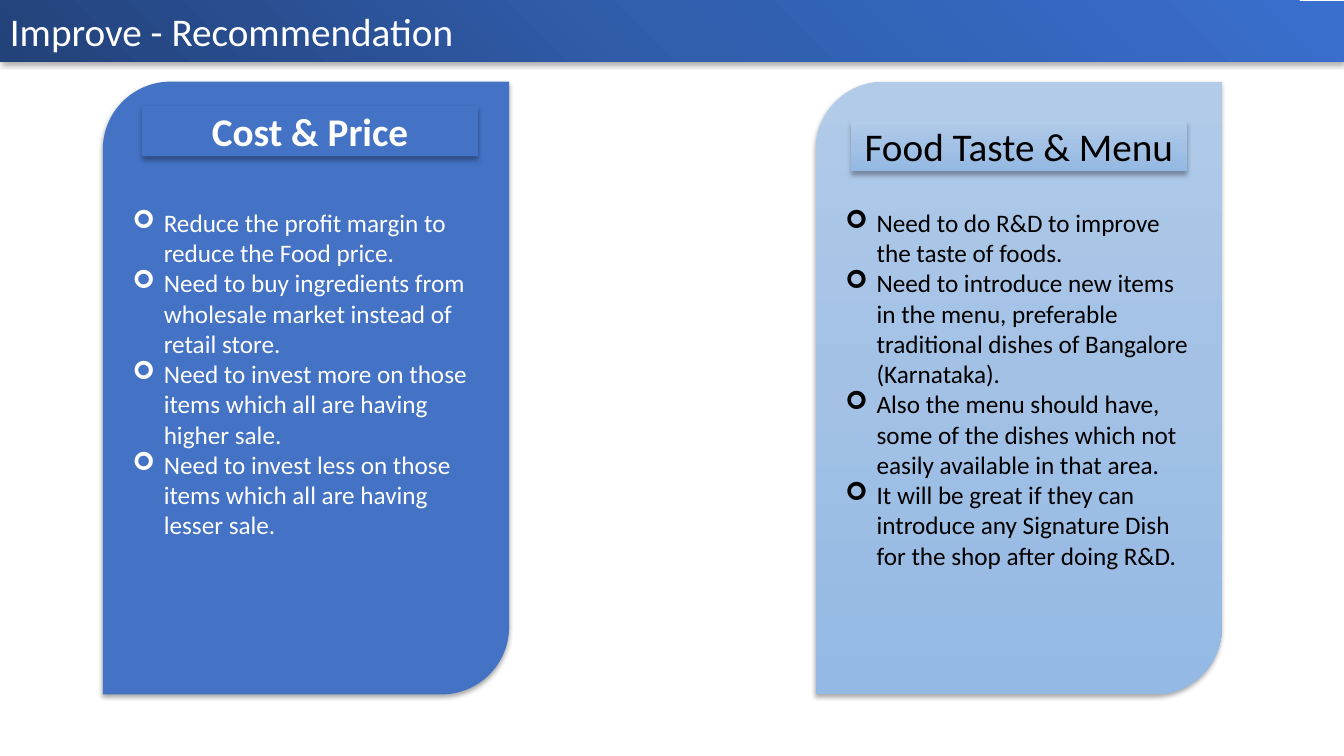
"""Build the Improve - Recommendation slide with two recommendation cards."""
from lxml import etree
from pptx import Presentation
from pptx.dml.color import RGBColor
from pptx.enum.shapes import MSO_SHAPE
from pptx.enum.text import MSO_ANCHOR, PP_ALIGN
from pptx.oxml import parse_xml
from pptx.oxml.ns import qn
from pptx.util import Inches, Pt

RECTANGLE, CARD = MSO_SHAPE.RECTANGLE, MSO_SHAPE.ROUND_2_DIAG_RECTANGLE
TOP, MIDDLE = MSO_ANCHOR.TOP, MSO_ANCHOR.MIDDLE
LEFT, CENTER = PP_ALIGN.LEFT, PP_ALIGN.CENTER
NAMESPACE = "http://schemas.openxmlformats.org/drawingml/2006/main"

WHITE = RGBColor(0xFF, 0xFF, 0xFF)
BLACK = RGBColor(0, 0, 0)
BLUE = RGBColor(0x44, 0x72, 0xC4)
BANNER_BLUES = [RGBColor(0x23, 0x42, 0x7A), RGBColor(0x31, 0x5E, 0xAD), RGBColor(0x3A, 0x6F, 0xCE)]
PALE_BLUES = [RGBColor(0xB1, 0xCB, 0xE9), RGBColor(0xA3, 0xC1, 0xE5), RGBColor(0x93, 0xB9, 0xE4)]
FROM_CORNER = '<a:path path="circle"><a:fillToRect t="100000" r="100000"/></a:path>'
DOWNWARD = '<a:lin ang="5400000" scaled="0"/>'

TITLE = "Improve - Recommendation"
CARDS = [
    {"heading": "Cost & Price", "bold": True, "fill": [BLUE], "color": WHITE,
     "left": 1.02, "heading_left": 1.41, "heading_top": 1.05,
     "points": [
         "Reduce the profit margin to reduce the Food price.",
         "Need to buy ingredients from wholesale market instead of retail store.",
         "Need to invest more on those items which all are having higher sale.",
         "Need to invest less on those items which all are having lesser sale."]},
    {"heading": "Food Taste & Menu", "bold": False, "fill": PALE_BLUES, "color": BLACK,
     "left": 8.09, "heading_left": 8.44, "heading_top": 1.2,
     "points": [
         "Need to do R&D to improve the taste of foods.",
         "Need to introduce new items in the menu, preferable traditional dishes of "
         "Bangalore (Karnataka).",
         "Also the menu should have, some of the dishes which not easily available in that area.",
         "It will be great if they can introduce any Signature Dish for the shop after doing R&D."]},
]
CARD_TOP, CARD_WIDTH, CARD_HEIGHT = 0.81, 4.03, 6.08
HEADING_WIDTH, HEADING_HEIGHT = 3.33, 0.5
POINTS_INSET, BULLET_INDENT = 1.05, 0.31


def paint(shape, colors, direction):
    """Fill with one colour or an even gradient, and add a soft shadow."""
    shape.line.fill.background()
    properties = shape._element.spPr
    if len(colors) == 1:
        shape.fill.solid()
        shape.fill.fore_color.rgb = colors[0]
    else:
        step = 100000 // (len(colors) - 1)
        stops = "".join(f'<a:gs pos="{index * step}"><a:srgbClr val="{color}"/></a:gs>'
                        for index, color in enumerate(colors))
        properties.insert(2, parse_xml(
            f'<a:gradFill xmlns:a="{NAMESPACE}" rotWithShape="1">'
            f'<a:gsLst>{stops}</a:gsLst>{direction}</a:gradFill>'))
    shape.shadow.inherit = False
    properties.find(qn("a:effectLst")).append(parse_xml(
        f'<a:outerShdw xmlns:a="{NAMESPACE}" blurRad="{Pt(3.5)}" dist="{Pt(2.2)}" dir="5400000" '
        'rotWithShape="0"><a:srgbClr val="000000"><a:alpha val="32000"/></a:srgbClr></a:outerShdw>'))


def add_bullet(paragraph):
    """Give a paragraph an arrowhead bullet and a hanging indent."""
    properties = paragraph._p.get_or_add_pPr()
    properties.set("marL", str(Inches(BULLET_INDENT)))
    properties.set("indent", str(-Inches(BULLET_INDENT)))
    etree.SubElement(properties, qn("a:buFont")).set("typeface", "Wingdings")
    etree.SubElement(properties, qn("a:buChar")).set("char", "\u27a2")


def add_panel(slide, kind, box, colors, texts, size, color, direction=DOWNWARD,
              alignment=LEFT, anchor=MIDDLE, bold=False, bullets=False):
    """Add a painted shape with one paragraph per text."""
    shape = slide.shapes.add_shape(kind, *map(Inches, box))
    paint(shape, colors, direction)
    frame = shape.text_frame
    frame.word_wrap = True
    frame.vertical_anchor = anchor
    for index, text in enumerate(texts):
        paragraph = frame.add_paragraph() if index else frame.paragraphs[0]
        paragraph.alignment = alignment
        if bullets:
            add_bullet(paragraph)
        run = paragraph.add_run()
        run.text = text
        run.font.name, run.font.size, run.font.bold = "Calibri", Pt(size), bold
        run.font.color.rgb = color
    return shape


presentation = Presentation()
presentation.slide_width, presentation.slide_height = Inches(13.33), Inches(7.5)
slide = presentation.slides.add_slide(presentation.slide_layouts[6])

add_panel(slide, RECTANGLE, (0, 0.01, 13.33, 0.6), BANNER_BLUES, [TITLE], 28, WHITE, FROM_CORNER)
for card in CARDS:
    panel = add_panel(slide, CARD, (card["left"], CARD_TOP, CARD_WIDTH, CARD_HEIGHT), card["fill"],
                      card["points"], 18, card["color"], anchor=TOP, bullets=True)
    panel.text_frame.margin_top = Inches(POINTS_INSET)
    add_panel(slide, RECTANGLE,
              (card["heading_left"], card["heading_top"], HEADING_WIDTH, HEADING_HEIGHT),
              card["fill"], [card["heading"]], 28, card["color"],
              alignment=CENTER, bold=card["bold"])

presentation.save("out.pptx")
